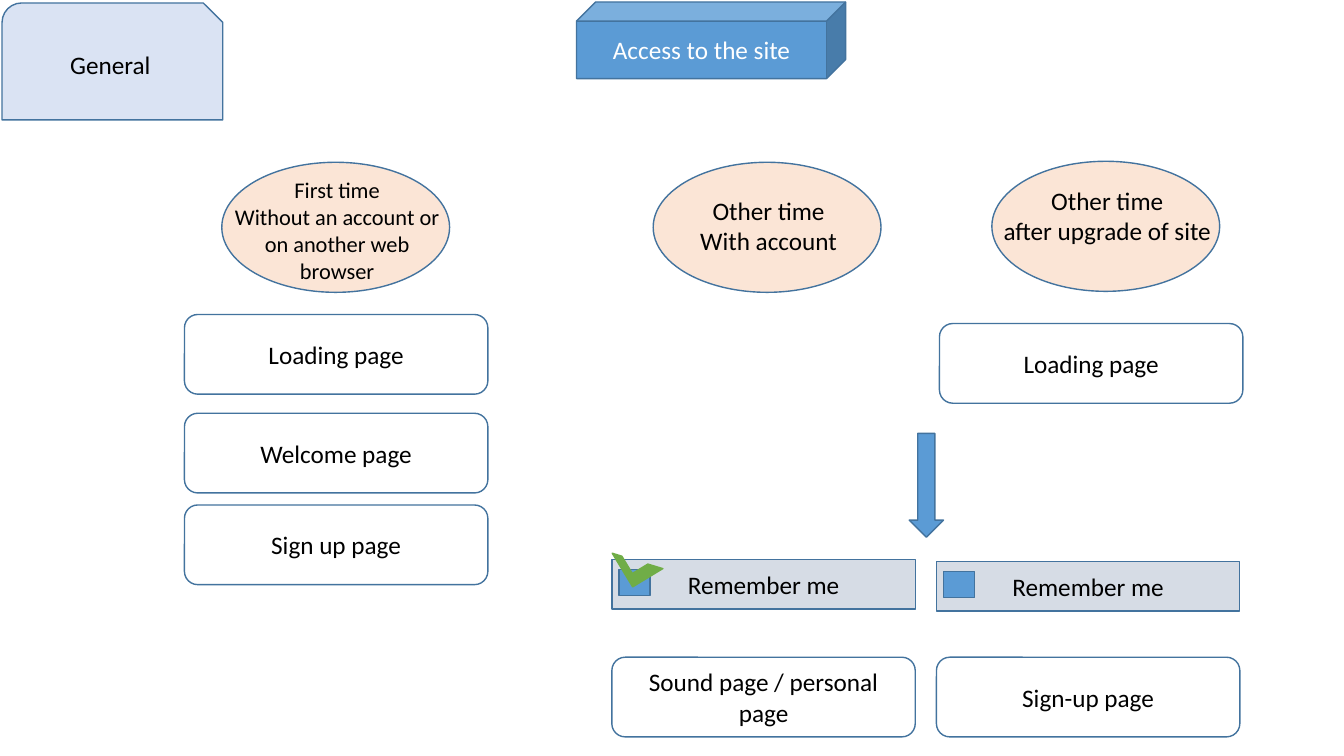
from pptx import Presentation
from pptx.dml.color import RGBColor
from pptx.enum.shapes import MSO_SHAPE
from pptx.enum.text import MSO_ANCHOR, MSO_AUTO_SIZE, PP_ALIGN
from pptx.util import Inches, Pt

RECT, ROUNDED = MSO_SHAPE.RECTANGLE, MSO_SHAPE.ROUNDED_RECTANGLE
OVAL, CUBE = MSO_SHAPE.OVAL, MSO_SHAPE.CUBE
ARROW, TAB = MSO_SHAPE.DOWN_ARROW, MSO_SHAPE.SNIP_ROUND_RECTANGLE
HALF_FRAME = MSO_SHAPE.HALF_FRAME
CENTER, MIDDLE = PP_ALIGN.CENTER, MSO_ANCHOR.MIDDLE
FIT_SHAPE, NO_FIT = MSO_AUTO_SIZE.SHAPE_TO_FIT_TEXT, MSO_AUTO_SIZE.NONE

COLORS = {
    "blue": "5B9BD5", "outline": "43739E", "peach": "FBE5D6", "pale": "DAE3F3",
    "grey": "D6DCE5", "green": "70AD47", "white": "FFFFFF", "black": "000000",
}
FONT = "Calibri"
WIDTH, HEIGHT = Inches(13.33), Inches(7.5)
COLUMNS, ROWS = 40, 30
FIRST_COL, ACCOUNT_COL, UPGRADE_COL = 5.49, 18.21, 27.87
PAGE_W, PAGE_H = 9.03, 3.16


def color(name):
    return RGBColor.from_string(COLORS[name])


def grid(col, row, cols, rows):
    """Turn grid units into left, top, width and height."""
    return (round(WIDTH * col / COLUMNS), round(HEIGHT * row / ROWS),
            round(WIDTH * cols / COLUMNS), round(HEIGHT * rows / ROWS))


def write(tf, text, size=18, ink="black"):
    tf.text = text
    for p in tf.paragraphs:
        p.alignment = CENTER
        for r in p.runs:
            r.font.name = FONT
            r.font.size = Pt(size)
            r.font.color.rgb = color(ink)


def add_block(s, kind, box, fill, text="", line="outline"):
    sp = s.shapes.add_shape(kind, *grid(*box))
    sp.shadow.inherit = False
    sp.fill.solid()
    sp.fill.fore_color.rgb = color(fill)
    sp.line.color.rgb = color(line)
    sp.line.width = Pt(1)
    if text:
        sp.text_frame.vertical_anchor = MIDDLE
        write(sp.text_frame, text)
    return sp


def add_page(s, col, row, text):
    add_block(s, ROUNDED, (col, row, PAGE_W, PAGE_H), "white", text)


def add_remember_me(s, col, row):
    add_block(s, RECT, (col, row, PAGE_W, 1.96), "grey", "Remember me")
    add_block(s, RECT, (col + 0.21, row + 0.4, 0.93, 1.04), "blue")


def add_label(s, box, text, size):
    tf = s.shapes.add_textbox(*grid(*box)).text_frame
    tf.word_wrap = False
    tf.auto_size = FIT_SHAPE
    write(tf, text, size)


def add_case(s, col, row, label_box, text, size=18):
    """Add an oval that names one way of reaching the site."""
    add_block(s, OVAL, (col, row, 6.78, 5.16), "peach")
    add_label(s, label_box, text, size)


def add_title(s, text):
    """Put the title placeholder on the front face of a cube."""
    add_block(s, CUBE, (17.16, 0.08, 8.01, 3.04), "blue")
    title = s.shapes.title
    title.left, title.top, title.width, title.height = grid(17.16, 0.84, 7.44, 2.28)
    s.shapes._spTree.append(title._element)
    tf = title.text_frame
    tf.auto_size = NO_FIT
    tf.vertical_anchor = MIDDLE
    write(tf, text, ink="white")


def add_tick(s):
    tick = add_block(s, HALF_FRAME, (18.45, 21.48, 1.05, 1.56), "green", line="green")
    tick.adjustments[0], tick.adjustments[1] = 0.33, 0.19
    tick.rotation = 148.8
    tick._element.spPr.xfrm.set("flipH", "1")


def main():
    prs = Presentation()
    prs.slide_width, prs.slide_height = WIDTH, HEIGHT
    s = prs.slides.add_slide(prs.slide_layouts[5])

    add_title(s, "Access to the site")
    add_block(s, TAB, (0.06, 0.12, 6.57, 4.64), "pale", "General")

    add_case(s, 6.6, 6.44, (6.66, 6.8, 6.75, 4.72),
             "First time\nWithout an account or\non another web\nbrowser", 16)
    add_case(s, 19.44, 6.44, (20.52, 7.56, 4.71, 2.84), "Other time\nWith account")
    add_case(s, 29.52, 6.4, (29.52, 7.16, 6.87, 2.84),
             "Other time\nafter upgrade of site")

    for col, row, text in (
        (FIRST_COL, 12.48, "Loading page"),
        (FIRST_COL, 16.4, "Welcome page"),
        (FIRST_COL, 20.04, "Sign up page"),
        (UPGRADE_COL + 0.09, 12.84, "Loading page"),
        (ACCOUNT_COL, 26.08, "Sound page / personal page"),
        (UPGRADE_COL, 26.08, "Sign-up page"),
    ):
        add_page(s, col, row, text)

    add_block(s, ARROW, (27.06, 17.2, 1.02, 4.12), "blue")
    add_remember_me(s, ACCOUNT_COL, 22.2)
    add_remember_me(s, UPGRADE_COL, 22.28)
    add_tick(s)

    prs.save("out.pptx")


if __name__ == "__main__":
    main()
